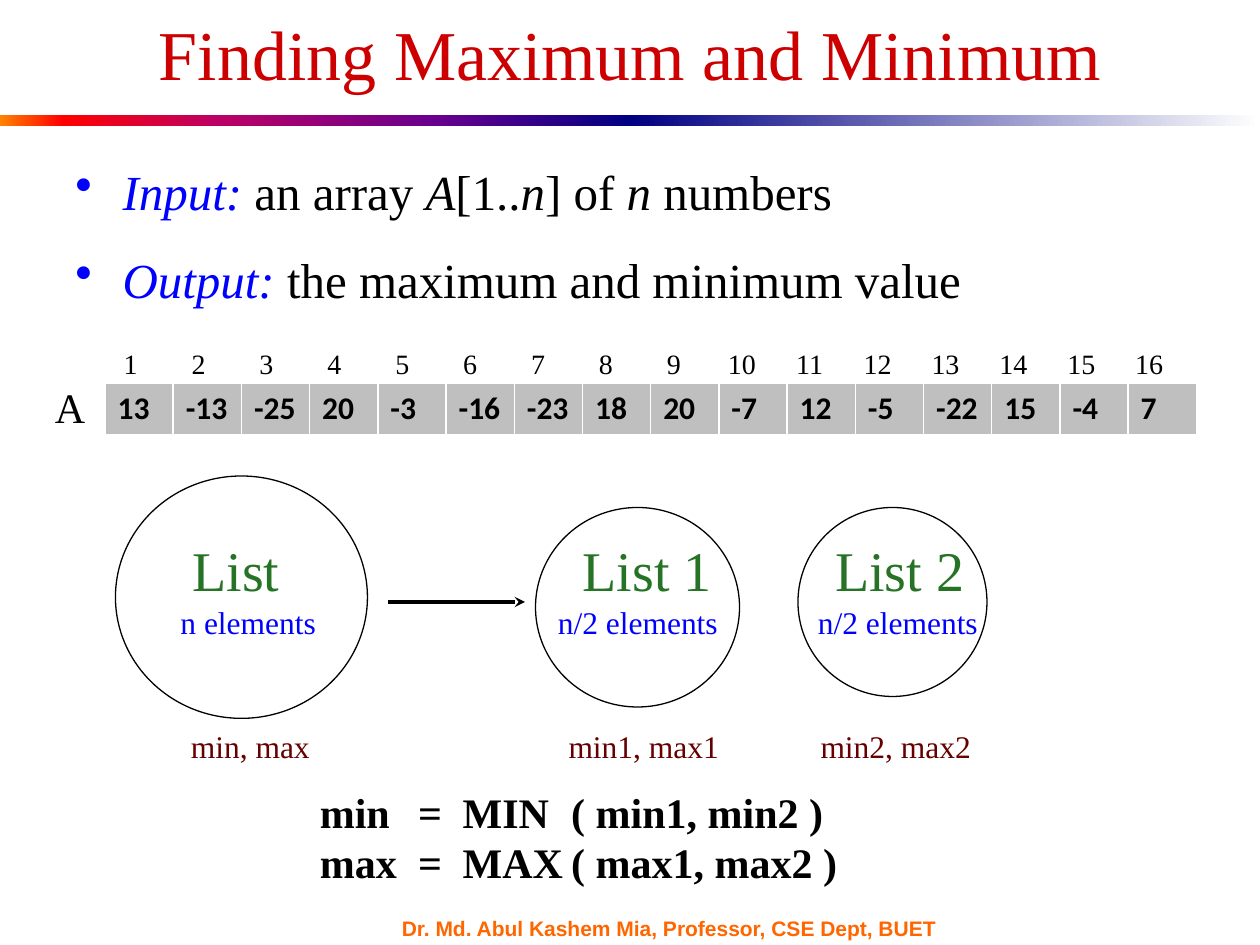
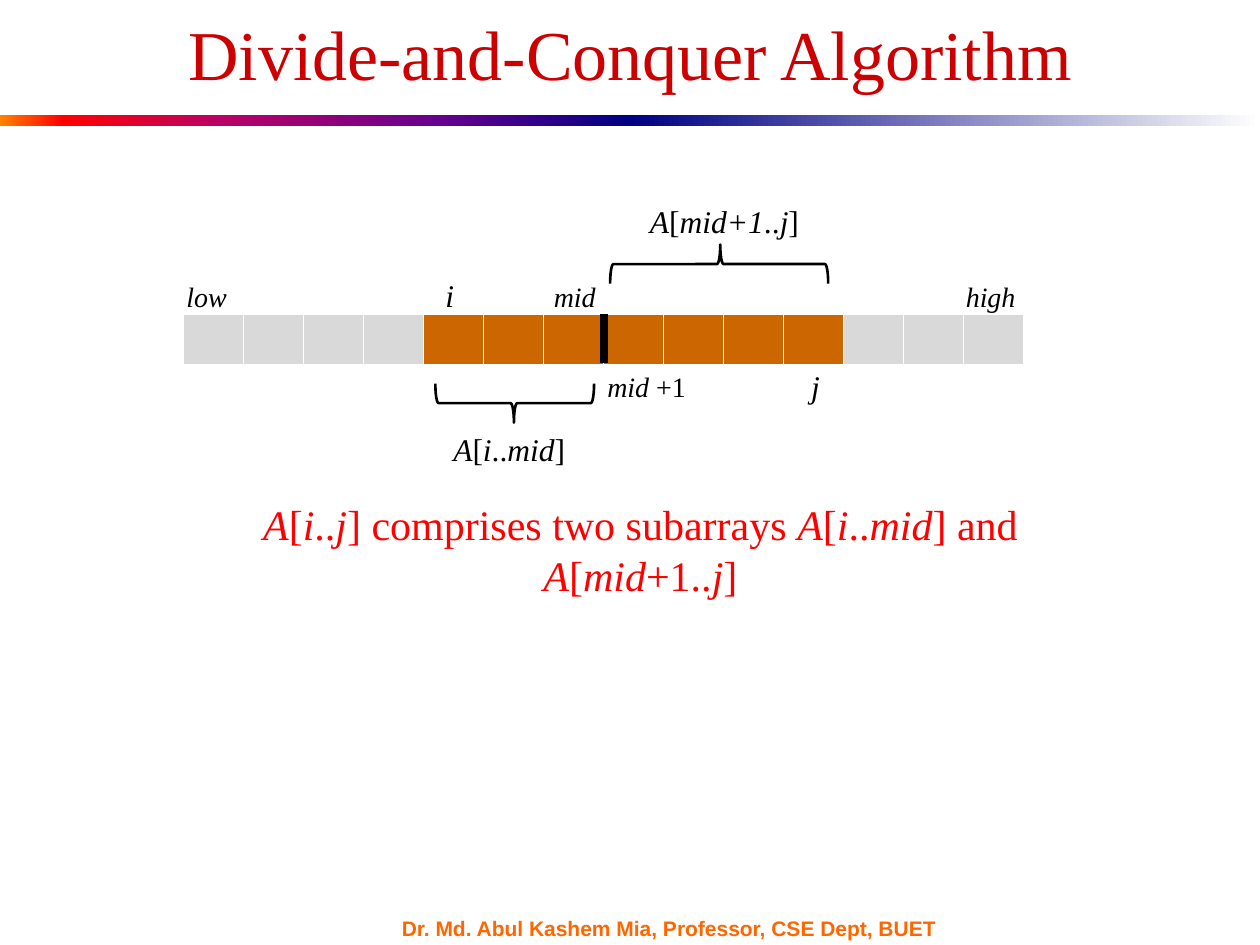
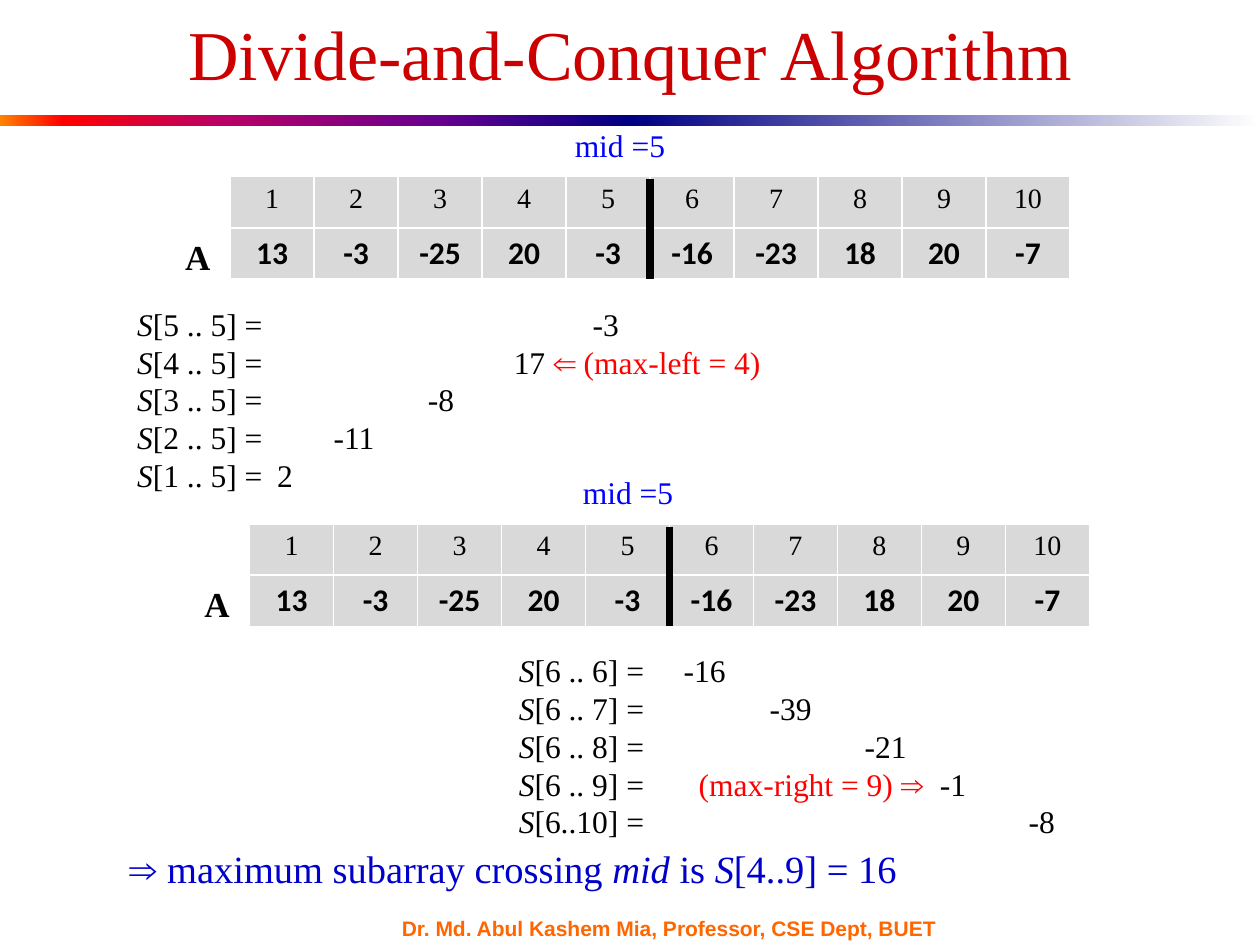
from dataclasses import dataclass
from typing import NamedTuple, Sequence

from lxml import etree
from pptx import Presentation
from pptx.dml.color import RGBColor
from pptx.enum import shapes, text
from pptx.oxml import ns
from pptx.util import Pt


@dataclass(frozen=True)
class Theme:
    serif: str = "Times New Roman"
    sans: str = "Arial"
    digits: str = "Calibri"
    black: str = "000000"
    title: str = "CC0000"
    footer: str = "FF6600"
    blue: str = "0000FF"
    navy: str = "0000CC"
    red: str = "FF0000"
    green: str = "267326"
    maroon: str = "660000"
    orange: str = "CC6600"
    grey: str = "BFBFBF"
    light: str = "D9D9D9"
    title_size: float = 40
    heading: float = 32
    bullet: float = 28
    formula: float = 24
    conclusion: float = 22
    array_name: float = 20
    body: float = 18
    index: float = 16
    footer_size: float = 12
    leading: float = 1.2


T = Theme()
INSET = 7.2
ROW_H = 29.2
CENTER = text.PP_ALIGN.CENTER
LEFT = text.PP_ALIGN.LEFT


class Box(NamedTuple):
    left: float
    top: float
    width: float
    height: float

    def pts(self) -> list[Pt]:
        return [Pt(v) for v in self]


class Span(NamedTuple):
    """Text in one colour; *stars* enclose italics."""
    text: str
    color: str = T.black


@dataclass(frozen=True)
class Para:
    spans: Sequence[Span]
    size: float = T.body
    align: int = LEFT
    tabs: Sequence[float] = ()  # distances from the slide's left edge
    tab_align: str = "l"
    bold: bool = False
    bullet: bool = False
    before: float = 0


class Label(NamedTuple):
    box: Box
    text: str
    size: float = T.body
    color: str = T.black
    bold: bool = False


class Band(NamedTuple):
    left: float
    stops: Sequence[tuple[int, str]]


class CrossingArray(NamedTuple):
    left: float
    top: float
    mid_x: float
    sums_box: Box
    sums: Sequence[tuple[Sequence[Span], Sequence[float]]]


BANDS = (
    Band(0, ((0, "FF8200"), (10, "FF0000"), (35, "BA0066"), (70, "66008F"), (100, "000082"))),
    Band(360, ((0, "000082"), (100, "FFFFFF"))),
)


def sub(parent, tag: str, **attrs):
    return etree.SubElement(parent, ns.qn(tag), {k: str(v) for k, v in attrs.items()})


def style(r, size: float, color: str = T.black, font: str = T.serif,
          bold: bool = False, italic: bool = False) -> None:
    f = r.font
    f.name, f.size, f.bold, f.italic = font, Pt(size), bold, italic
    f.color.rgb = RGBColor.from_string(color)


def add_text(s, box: Box, paras: Sequence[Para]):
    sp = s.shapes.add_textbox(*box.pts())
    tf = sp.text_frame
    tf.word_wrap = True
    for i, para in enumerate(paras):
        p = tf.add_paragraph() if i else tf.paragraphs[0]
        p.alignment = para.align
        p.line_spacing = Pt(para.size * T.leading)
        p.space_before = Pt(para.before)
        pPr = p._p.get_or_add_pPr()
        if para.bullet:
            pPr.set("marL", str(Pt(27)))
            pPr.set("indent", str(-Pt(27)))
            sub(pPr, "a:buChar", char="•")
        if para.tabs:
            stops = sub(pPr, "a:tabLst")
            for x in para.tabs:
                sub(stops, "a:tab", pos=Pt(x - box.left - INSET), algn=para.tab_align)
        for span in para.spans:
            for k, piece in enumerate(span.text.split("*")):
                if piece:
                    r = p.add_run()
                    r.text = piece
                    style(r, para.size, span.color, bold=para.bold, italic=k % 2 == 1)
    return sp


def add_labels(s, labels: Sequence[Label]) -> None:
    for lb in labels:
        add_text(s, lb.box, [Para([Span(lb.text, lb.color)], lb.size, CENTER, bold=lb.bold)])


def add_outline(s, kind, box: Box, width: float):
    sp = s.shapes.add_shape(kind, *box.pts())
    sp.shadow.inherit = False
    sp.fill.background()
    sp.line.color.rgb = RGBColor.from_string(T.black)
    sp.line.width = Pt(width)
    return sp


def add_line(s, x1: float, y1: float, x2: float, y2: float, width: float, arrow: bool = False) -> None:
    cx = s.shapes.add_connector(shapes.MSO_CONNECTOR.STRAIGHT, Pt(x1), Pt(y1), Pt(x2), Pt(y2))
    cx.line.color.rgb = RGBColor.from_string(T.black)
    cx.line.width = Pt(width)
    if arrow:
        sub(cx.line._get_or_add_ln(), "a:tailEnd", type="stealth")
    sub(cx._element.spPr, "a:effectLst")


def add_array(s, left: float, top: float, col_w: float, rows: Sequence[Sequence[str]],
              fills: Sequence[str], align: int = CENTER) -> None:
    """Draw an array; its last row holds the values, a row above it the indices."""
    n = len(fills)
    box = Box(left, top, col_w * n, ROW_H * len(rows))
    tbl = s.shapes.add_table(len(rows), n, *box.pts()).table
    for col in tbl.columns:
        col.width = Pt(col_w)
    for i, row in enumerate(rows):
        tbl.rows[i].height = Pt(ROW_H)
        is_values = i == len(rows) - 1
        for j, value in enumerate(row):
            cell = tbl.cell(i, j)
            cell.fill.solid()
            cell.fill.fore_color.rgb = RGBColor.from_string(fills[j])
            if value:
                p = cell.text_frame.paragraphs[0]
                p.text = value
                p.alignment = align
                size, font = (T.body, T.digits) if is_values else (T.index, T.serif)
                style(p.runs[0], size, font=font, bold=is_values)


def add_band(s, band: Band) -> None:
    sp = s.shapes.add_shape(shapes.MSO_SHAPE.RECTANGLE, *Box(band.left, 66, 360, 6).pts())
    sp.shadow.inherit = False
    sp.line.fill.background()
    sp.fill.gradient()
    sp.fill.gradient_angle = 0
    stops = sp._element.spPr.find(".//" + ns.qn("a:gsLst"))
    for old in list(stops):
        stops.remove(old)
    for pos, color in band.stops:
        sub(sub(stops, "a:gs", pos=pos * 1000), "a:srgbClr", val=color)


def new_slide(prs, title: str):
    s = prs.slides.add_slide(prs.slide_layouts[5])
    sp = s.shapes.title
    sp.left, sp.top, sp.width, sp.height = Box(54, 0, 612, 60).pts()
    tf = sp.text_frame
    tf.text = title
    tf.vertical_anchor = text.MSO_ANCHOR.MIDDLE
    tf.paragraphs[0].alignment = CENTER
    style(tf.paragraphs[0].runs[0], T.title_size, T.title)
    for band in BANDS:
        add_band(s, band)
    tf = s.shapes.add_textbox(*Box(222.5, 524, 336, 13).pts()).text_frame
    tf.text = "Dr. Md. Abul Kashem Mia, Professor, CSE Dept, BUET"
    tf.word_wrap = True
    tf.vertical_anchor = text.MSO_ANCHOR.MIDDLE
    style(tf.paragraphs[0].runs[0], T.footer_size, T.footer, T.sans, bold=True)
    return s


def build_problem(prs) -> None:
    s = new_slide(prs, "Finding Maximum and Minimum")
    add_text(s, Box(36, 88.6, 648, 102), [
        Para([Span("*Input: *", T.blue), Span("an array *A*[1..*n*] of *n* numbers")],
             T.bullet, bullet=True),
        Para([Span("*Output: *", T.blue), Span("the maximum and minimum value")],
             T.bullet, bullet=True, before=17),
    ])

    values = "13 -13 -25 20 -3 -16 -23 18 20 -7 12 -5 -22 15 -4 7".split()
    n = len(values)
    add_array(s, 60, 219, 39, [values], [T.grey] * n, LEFT)
    indices = "".join(f"\t{i + 1}" for i in range(n))
    add_text(s, Box(58, 194.5, 622, 27), [
        Para([Span(indices)], T.index, tabs=[74.8 + 38.8 * i for i in range(n)], tab_align="ctr")])
    add_labels(s, [Label(Box(23.8, 214.6, 32.4, 36), "A", T.formula)])

    add_text(s, Box(96, 302.4, 470, 67), [
        Para([Span("\tList\tList 1\tList 2", T.green)], T.heading,
             tabs=(135, 370, 514.3), tab_align="ctr"),
        Para([Span("\tn elements\tn/2 elements\tn/2 elements", T.blue)],
             tabs=(141.7, 364.6, 513.2), tab_align="ctr"),
    ])
    for circle in (Box(66, 272, 144, 138.5), Box(306, 290, 116.6, 114), Box(456, 290, 108, 108)):
        add_outline(s, shapes.MSO_SHAPE.OVAL, circle, 0.75)
    add_line(s, 222, 344, 300, 344, 2, arrow=True)
    add_text(s, Box(102, 412, 461, 29), [
        Para([Span("\tmin, max\tmin1, max1\tmin2, max2", T.maroon)],
             tabs=(143, 368, 512), tab_align="ctr")])
    add_text(s, Box(175.7, 445.7, 315, 65.5), [
        Para([Span(line)], T.formula, tabs=(239, 264.5, 326.5), bold=True)
        for line in ("min\t=\tMIN\t( min1, min2 )", "max\t=\tMAX\t( max1, max2 )")])


def build_subarrays(prs) -> None:
    s = new_slide(prs, "Divide-and-Conquer Algorithm")
    left, top, n = 105, 179.3, 14
    col_w = 480 / n
    fills = [T.orange if 4 <= j < 11 else T.light for j in range(n)]
    add_array(s, left, top, col_w, [[""] * n], fills)
    mid_x = left + 7 * col_w
    add_line(s, mid_x, top, mid_x, top + 28, 4.5)

    add_text(s, Box(99.4, 156.2, 495, 27), [
        Para([Span("*low\tmid\thigh*")], T.index, tabs=(316.6, 552))])
    add_labels(s, [
        Label(Box(327, 207.4, 85, 27), "*mid *+1", T.index),
        Label(Box(246, 242, 90, 29), "*A*[*i*..*mid*]"),
        Label(Box(451, 206, 30, 29), "*j*"),
        Label(Box(343, 111.6, 142, 29), "*A*[*mid+1*..*j*]"),
        Label(Box(242, 154, 30, 29), "*i*"),
        Label(Box(88, 281.5, 556, 65), "*A*[*i*..*j*] comprises two subarrays *A*[*i*..*mid*] and *A*[*mid*+1..*j*]",
              T.formula, T.red),
    ])
    for box, angle in ((Box(399.8, 88.6, 22.3, 124.6), 90), (Box(283, 185, 22.3, 90.7), 270)):
        brace = add_outline(s, shapes.MSO_SHAPE.LEFT_BRACE, box, 1.5)
        brace.adjustments[0], brace.adjustments[1] = 0.083, 0.495
        brace.rotation = angle


CROSSING = (
    CrossingArray(131.5, 101, 354.3, Box(71.3, 170.6, 397, 135), (
        ([Span("*S*[5 .. 5] =\t-3")], [338.8]),
        ([Span("*S*[4 .. 5] =\t17 "), Span("⇐ (max-left = 4)", T.red)], [293.7]),
        ([Span("*S*[3 .. 5] =\t-8")], [244.6]),
        ([Span("*S*[2 .. 5] =\t-11")], [190.8]),
        ([Span("*S*[1 .. 5] =\t2")], [158.5]),
    )),
    CrossingArray(142.6, 299.5, 358.9, Box(289.4, 368.6, 360, 138), (
        ([Span("*S*[6 .. 6] =\t-16")], [390.8]),
        ([Span("*S*[6 .. 7] =\t-39")], [440]),
        ([Span("*S*[6 .. 8] =\t-21")], [494.3]),
        ([Span("*S*[6 .. 9] =\t"), Span("(max-right = 9) ⇒", T.red), Span("\t-1")], [399.4, 537.2]),
        ([Span("*S*[6..10] =\t-8")], [588]),
    )),
)


def build_crossing(prs) -> None:
    s = new_slide(prs, "Divide-and-Conquer Algorithm")
    values = "13 -3 -25 20 -3 -16 -23 18 20 -7".split()
    n, col_w = len(values), 48
    indices = [str(i + 1) for i in range(n)]
    for a in CROSSING:
        add_array(s, a.left, a.top, col_w, [indices, values], [T.light] * n)
        add_labels(s, [
            Label(Box(a.left - 33.5, a.top + 29.8, 30, 31.7), "A", T.array_name, bold=True),
            Label(Box(a.mid_x - 40, a.top - 32.5, 80, 29), "mid =5", color=T.blue),
        ])
        add_text(s, a.sums_box, [Para(spans, tabs=tabs) for spans, tabs in a.sums])
        mid_x = a.left + 5 * col_w
        add_line(s, mid_x, a.top + 1.4, mid_x, a.top + 2 * ROW_H, 4.5)
    add_labels(s, [Label(Box(28.8, 479.5, 529, 34),
                         "⇒ maximum subarray crossing *mid* is *S*[4..9] = 16", T.conclusion, T.navy)])


def main() -> None:
    prs = Presentation()
    prs.slide_width, prs.slide_height = Pt(720), Pt(540)
    build_problem(prs)
    build_subarrays(prs)
    build_crossing(prs)
    prs.save("out.pptx")


if __name__ == "__main__":
    main()
